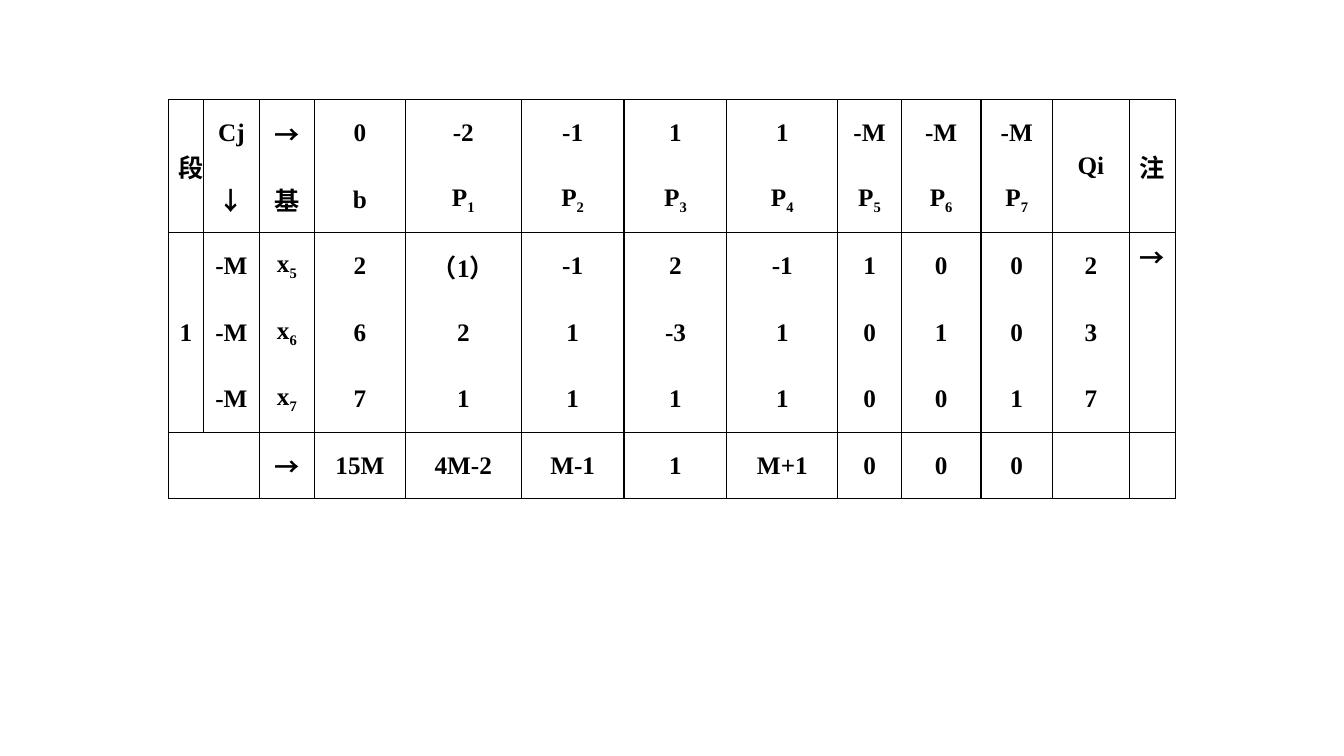
from itertools import groupby

from lxml import etree
from pptx import Presentation
from pptx.dml import color as dml
from pptx.enum import text as enum
from pptx.oxml import ns
from pptx.util import Inches, Pt

LATIN = "Times New Roman"
HAN = "Noto Sans CJK SC"
INK = "000000"
WIDTHS = [0.35, 0.55, 0.55, 0.9, 1.15, 1.02, 1.02, 1.1, 0.63, 0.79, 0.71, 0.76, 0.46]
HEIGHT = 0.66
ROWS = [
    "段 | Cj | → | 0 | -2 | -1 | 1 | 1 | -M | -M | -M | Qi | 注",
    " | ↓ | 基 | b | P_1 | P_2 | P_3 | P_4 | P_5 | P_6 | P_7 | | ",
    "1 | -M | x_5 | 2 | （1） | -1 | 2 | -1 | 1 | 0 | 0 | 2 | →",
    " | -M | x_6 | 6 | 2 | 1 | -3 | 1 | 0 | 1 | 0 | 3 | ",
    " | -M | x_7 | 7 | 1 | 1 | 1 | 1 | 0 | 0 | 1 | 7 | ",
    " | | → | 15M | 4M-2 | M-1 | 1 | M+1 | 0 | 0 | 0 | | ",
]
BANDS = [(0, 1), (2, 4), (5, 5)]
MERGES = [(0, 0, 1, 0), (0, 11, 1, 11), (0, 12, 1, 12),
          (2, 0, 4, 0), (2, 12, 4, 12), (5, 0, 5, 1)]


def paint(value):
    return dml.RGBColor.from_string(value)


def add_run(para, words, face, size=18, color=INK, bold=True, base=0):
    run = para.add_run()
    run.text = words
    run.font.size = Pt(size)
    run.font.bold = bold
    run.font.color.rgb = paint(color)
    run.font.name = face
    props = run._r.get_or_add_rPr()
    etree.SubElement(props, ns.qn("a:ea")).set("typeface", face)
    if base:
        props.set("baseline", str(base * 1000))


def write(cell, words, **form):
    para = cell.text_frame.paragraphs[0]
    para.alignment = enum.PP_ALIGN.CENTER
    props = para._p.get_or_add_pPr()
    props.set("marL", str(Inches(0.38)))
    props.set("indent", str(-Inches(0.38)))
    main, _, sub = words.partition("_")
    for wide, chars in groupby(main, lambda char: ord(char) > 0x2000):
        add_run(para, "".join(chars), HAN if wide else LATIN, **form)
    if sub:
        add_run(para, sub, LATIN, base=-25, **form)


def frame(cell, sides, color=INK, width=1):
    props = cell._tc.get_or_add_tcPr()
    for spot, side in enumerate("LRTB"):
        line = etree.Element(ns.qn("a:ln" + side))
        if side in sides:
            line.set("w", str(Pt(width)))
            fill = etree.SubElement(line, ns.qn("a:solidFill"))
            etree.SubElement(fill, ns.qn("a:srgbClr")).set("val", color)
        else:
            etree.SubElement(line, ns.qn("a:noFill"))
        props.insert(spot, line)


def add_grid(slide, left, top):
    shape = slide.shapes.add_table(
        len(ROWS), len(WIDTHS), Inches(left), Inches(top),
        Inches(sum(WIDTHS)), Inches(HEIGHT * len(ROWS)))
    table = shape.table
    table.first_row = False
    table.horz_banding = False
    for col, width in zip(table.columns, WIDTHS):
        col.width = Inches(width)
    for row in table.rows:
        row.height = Inches(HEIGHT)
    for r1, c1, r2, c2 in MERGES:
        table.cell(r1, c1).merge(table.cell(r2, c2))
    for first, last in BANDS:
        for row in range(first, last + 1):
            for col, words in enumerate(ROWS[row].split("|")):
                cell = table.cell(row, col)
                cell.fill.background()
                cell.vertical_anchor = enum.MSO_ANCHOR.MIDDLE
                tall = cell.is_merge_origin
                sides = "LR" + "T" * (row == first) + "B" * (row == last or tall)
                frame(cell, sides)
                if words.strip():
                    write(cell, words.strip())
    table.cell(2, 12).vertical_anchor = enum.MSO_ANCHOR.TOP


def main():
    deck = Presentation()
    deck.slide_width = Inches(13.33)
    deck.slide_height = Inches(7.5)
    slide = deck.slides.add_slide(deck.slide_layouts[6])
    add_grid(slide, 1.67, 0.99)
    deck.save("out.pptx")


if __name__ == "__main__":
    main()
